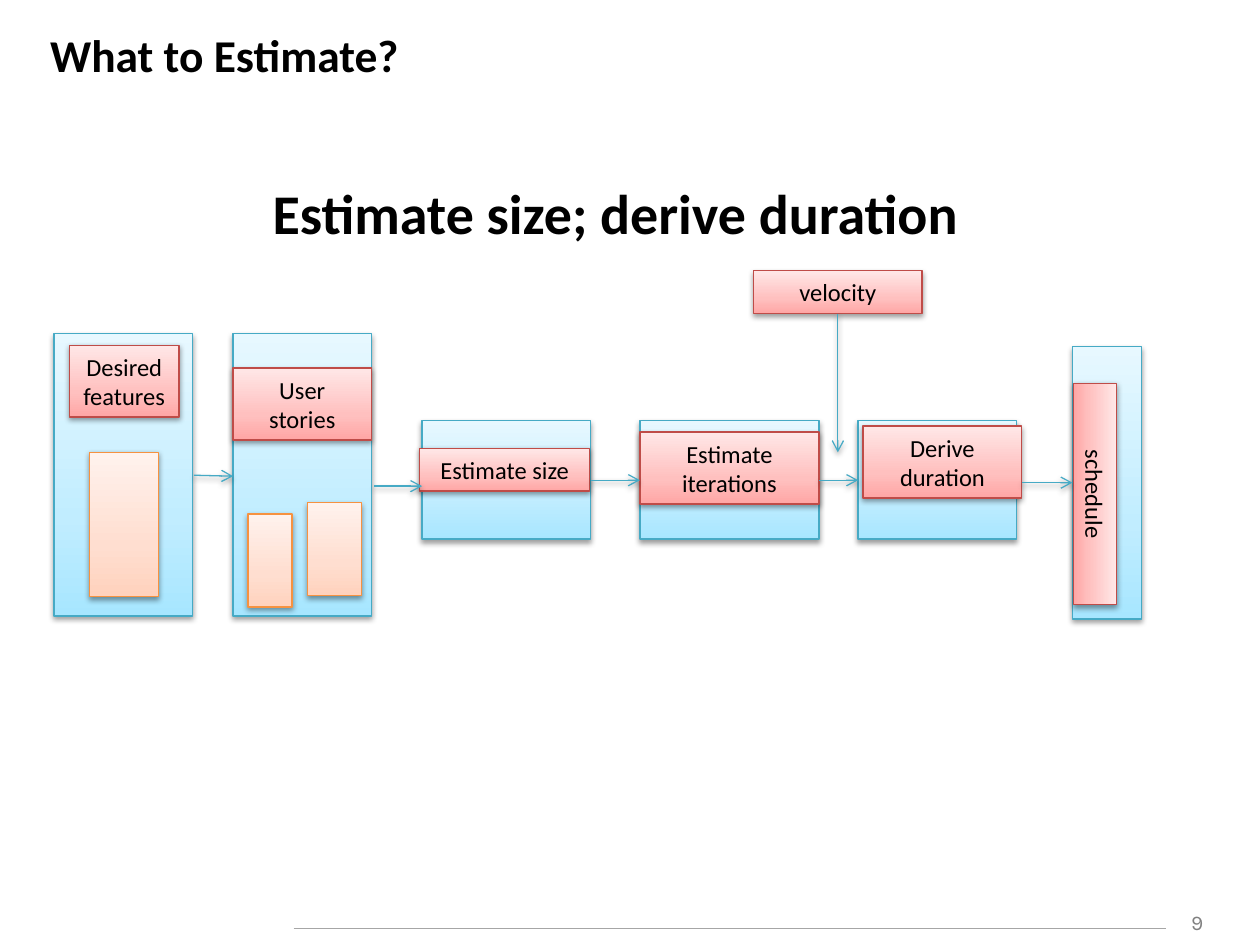
from copy import deepcopy

from lxml.etree import SubElement as Sub
from pptx import Presentation as Deck
from pptx.dml.color import RGBColor as Rgb
from pptx.enum.shapes import MSO_CONNECTOR as Link, MSO_SHAPE as Form
from pptx.enum.text import MSO_ANCHOR as Anchor, PP_ALIGN as Align
from pptx.oxml.ns import qn
from pptx.util import Cm, Pt

BLACK = Rgb(0x00, 0x00, 0x00)
GREY = Rgb(0x80, 0x80, 0x80)
SILVER = Rgb(0xA6, 0xA6, 0xA6)
TEAL = Rgb(0x46, 0xAA, 0xC5)
RED = Rgb(0xBF, 0x4C, 0x48)
AMBER = Rgb(0xF6, 0x92, 0x40)
BLUES = Rgb(0xA7, 0xE6, 0xFF), Rgb(0xC1, 0xED, 0xFF), Rgb(0xE7, 0xF8, 0xFF)
PINKS = Rgb(0xFF, 0xA6, 0xA5), Rgb(0xFF, 0xC0, 0xBF), Rgb(0xFF, 0xE7, 0xE7)
PEACH = Rgb(0xFF, 0xD2, 0xBD), Rgb(0xFF, 0xDE, 0xD0), Rgb(0xFF, 0xF2, 0xED)
STOPS = 0, 0.35, 1


class Board:
    font = "Calibri"
    size = 14
    thin = Pt(0.75)

    def __init__(self, slide):
        self.shapes = slide.shapes

    def letter(self, frame, text, size, font=None, color=BLACK, bold=False, align=Align.CENTER):
        frame.word_wrap = True
        frame.text = text
        para = frame.paragraphs[0]
        para.alignment = align
        face = para.runs[0].font
        face.name = font or self.font
        face.size = Pt(size)
        face.bold = bold
        face.color.rgb = color

    def label(self, area, text, size, anchor=Anchor.TOP, **style):
        frame = self.shapes.add_textbox(*map(Cm, area)).text_frame
        frame.vertical_anchor = anchor
        self.letter(frame, text, size, **style)

    def shade(self, effects):
        shadow = Sub(effects, qn("a:outerShdw"), blurRad="40000", dist="20000",
                     dir="5400000", rotWithShape="0")
        tint = Sub(shadow, qn("a:srgbClr"), val="000000")
        Sub(tint, qn("a:alpha"), val="38000")

    def box(self, area, tones, edge, text="", turn=0):
        shape = self.shapes.add_shape(Form.RECTANGLE, *map(Cm, area))
        shape.rotation = turn
        shape.fill.gradient()
        shape.fill.gradient_angle = 90
        props = shape.element.spPr
        stops = props.find(".//" + qn("a:gsLst"))
        stops.insert(1, deepcopy(stops[0]))
        for stop, tone, place in zip(shape.fill.gradient_stops, tones, STOPS):
            stop.color.rgb = tone
            stop.position = place
        shape.line.color.rgb = edge
        shape.line.width = self.thin
        shape.shadow.inherit = False
        self.shade(props.find(qn("a:effectLst")))
        if text:
            self.letter(shape.text_frame, text, self.size)

    def line(self, ends, color):
        link = self.shapes.add_connector(Link.STRAIGHT, *map(Cm, ends))
        link.line.color.rgb = color
        link.line.width = self.thin
        props = link.element.spPr
        return props, Sub(props, qn("a:effectLst"))

    def arrow(self, ends):
        props, effects = self.line(ends, TEAL)
        Sub(props.find(qn("a:ln")), qn("a:tailEnd"), type="arrow")
        self.shade(effects)


def main():
    deck = Deck()
    deck.slide_width, deck.slide_height = Cm(25.4), Cm(19.05)
    board = Board(deck.slides.add_slide(deck.slide_layouts[6]))

    board.label((23.5, 18.21, 1.27, 0.76), "9", 12, font="Karla", color=GREY)
    board.line((5.92, 18.72, 23.5, 18.72), SILVER)
    board.label((0.76, 0.3, 23.77, 1.6), "What to Estimate?", 26,
                anchor=Anchor.MIDDLE, bold=True, align=Align.LEFT)
    board.label((0.56, 3.48, 23.7, 14.17), "Estimate size; derive duration", 32, bold=True)

    tall, low = (6.73, 5.69), (8.48, 2.39)
    panels = [(1.09, 2.79, tall), (4.7, 2.79, tall), (8.51, 3.4, low),
              (12.9, 3.61, low), (17.3, 3.2, low), (21.62, 1.4, (6.99, 5.49))]
    for left, width, (top, height) in panels:
        board.box((left, top, width, height), BLUES, TEAL)

    cards = [(1.8, 9.12, 1.4, 2.9), (6.2, 10.13, 1.09, 1.88), (5, 10.36, 0.89, 1.88)]
    for area in cards:
        board.box(area, PEACH, AMBER)

    one, two = 0.86, 1.45
    tags = [("velocity", 15.19, 5.46, 3.4, one, 0),
            ("Desired features", 1.4, 6.96, 2.21, two, 0),
            ("User stories", 4.7, 7.42, 2.79, two, 0),
            ("Estimate size", 8.46, 9.04, 3.43, one, 0),
            ("Estimate iterations", 12.9, 8.71, 3.61, two, 0),
            ("Derive duration", 17.4, 8.59, 3.2, two, 0),
            ("schedule", 19.84, 9.53, 4.47, one, 90)]
    for text, *area, turn in tags:
        board.box(area, PINKS, RED, text, turn)

    arrows = [(3.91, 9.58, 4.7, 9.6), (7.54, 9.8, 8.51, 9.8),
              (11.91, 9.68, 12.9, 9.68), (16.51, 9.68, 17.3, 9.68),
              (20.6, 9.73, 21.62, 9.73), (16.89, 6.32, 16.89, 9.12)]
    for ends in arrows:
        board.arrow(ends)

    deck.save("out.pptx")


if __name__ == "__main__":
    main()
